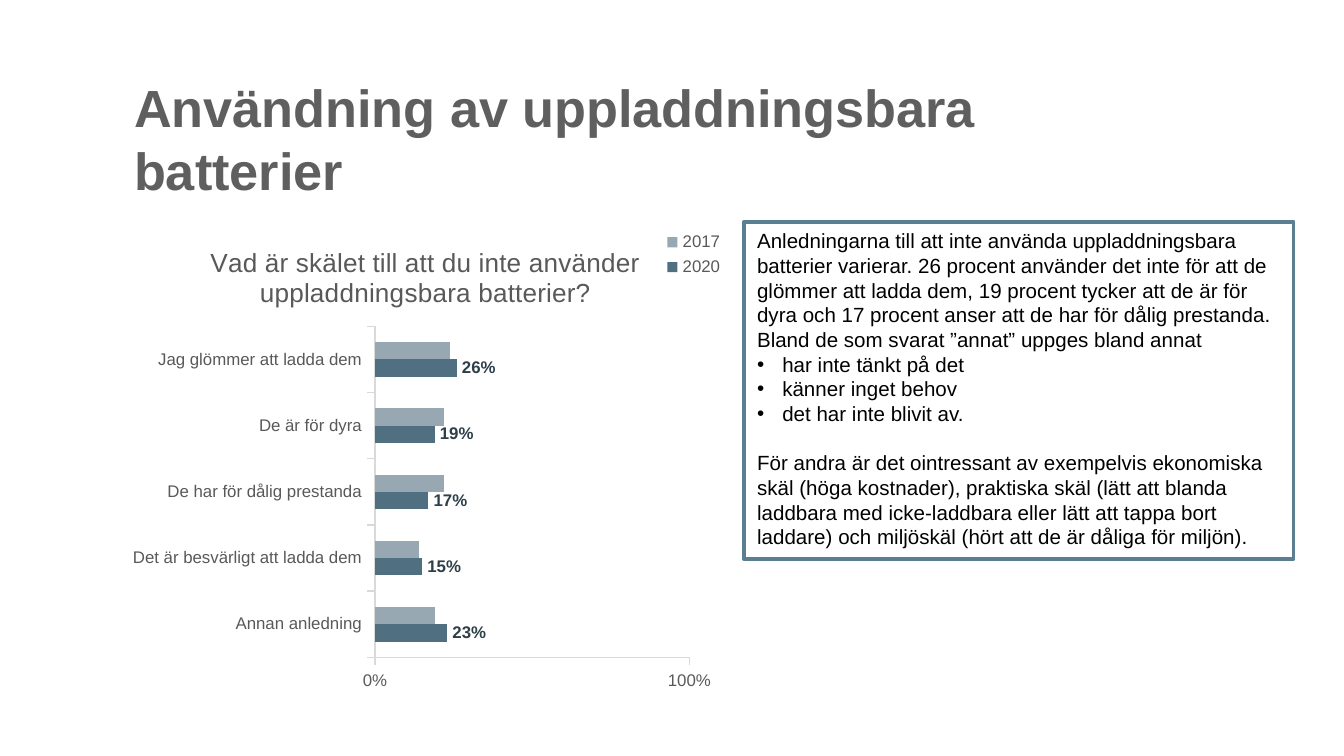
from lxml import etree
from pptx import Presentation
from pptx.chart.data import CategoryChartData
from pptx.dml.color import RGBColor
from pptx.enum.chart import XL_CHART_TYPE, XL_LABEL_POSITION, XL_LEGEND_POSITION, XL_TICK_MARK
from pptx.enum.shapes import MSO_SHAPE
from pptx.enum.text import MSO_ANCHOR, PP_ALIGN
from pptx.oxml.ns import qn
from pptx.util import Pt

BAR_CLUSTERED = XL_CHART_TYPE.BAR_CLUSTERED
OUTSIDE_END = XL_LABEL_POSITION.OUTSIDE_END
CORNER = XL_LEGEND_POSITION.CORNER
TICK_OUT = XL_TICK_MARK.OUTSIDE
RECTANGLE = MSO_SHAPE.RECTANGLE
TOP = MSO_ANCHOR.TOP
LEFT = PP_ALIGN.LEFT

WHITE = RGBColor(0xFF, 0xFF, 0xFF)
BLACK = RGBColor(0x00, 0x00, 0x00)
TITLE_GREY = RGBColor(0x5F, 0x5F, 0x5F)
CHART_GREY = RGBColor(0x59, 0x59, 0x59)
AXIS_GREY = RGBColor(0xD9, 0xD9, 0xD9)
FRAME_BLUE = RGBColor(0x5A, 0x7E, 0x92)
LABEL_BLUE = RGBColor(0x2D, 0x3F, 0x49)

TITLE = "Användning av uppladdningsbara batterier"
INTRO = (
    "Anledningarna till att inte använda uppladdningsbara batterier varierar. "
    "26 procent använder det inte för att de glömmer att ladda dem, 19 procent "
    "tycker att de är för dyra och 17 procent anser att de har för dålig prestanda. "
    "Bland de som svarat ”annat” uppges bland annat"
)
REASONS = ["har inte tänkt på det", "känner inget behov", "det har inte blivit av."]
CLOSING = (
    "För andra är det ointressant av exempelvis ekonomiska skäl (höga kostnader), "
    "praktiska skäl (lätt att blanda laddbara med icke-laddbara eller lätt att "
    "tappa bort laddare) och miljöskäl (hört att de är dåliga för miljön)."
)
QUESTION = "Vad är skälet till att du inte använder uppladdningsbara batterier?"
ANSWERS = [
    "Annan anledning",
    "Det är besvärligt att ladda dem",
    "De har för dålig prestanda",
    "De är för dyra",
    "Jag glömmer att ladda dem",
]
SERIES = [
    ("2020", [0.23, 0.15, 0.17, 0.19, 0.26], RGBColor(0x50, 0x70, 0x82)),
    ("2017", [0.19, 0.14, 0.22, 0.22, 0.24], RGBColor(0x97, 0xA8, 0xB3)),
]

TITLE_AREA = (64.8, 36.7, 578.2, 85)
TEXT_AREA = (398.5, 118.8, 294.5, 180.7)
CHART_AREA = (64.8, 121.7, 324, 253.4)

TITLE_FONT = {"name": "Arial", "size": Pt(28), "bold": True}
BODY_FONT = {"name": "Arial", "size": Pt(11), "bold": False}
QUESTION_FONT = {"name": "Arial", "size": Pt(14), "bold": False}
CHART_FONT = {"name": "Arial", "size": Pt(9), "bold": False}
LABEL_FONT = {"name": "Arial", "size": Pt(9), "bold": True}
BULLET_INDENT = Pt(13.5)


def in_points(area):
    return [Pt(length) for length in area]


def style_font(font, values, color):
    for name, value in values.items():
        setattr(font, name, value)
    font.color.rgb = color


def place_in_chart(element, index, **fractions):
    """Give a chart part a manual layout in fractions of the chart area."""
    for old in element.findall(qn("c:layout")):
        element.remove(old)
    layout = etree.Element(qn("c:layout"))
    manual = etree.SubElement(layout, qn("c:manualLayout"))
    if "w" in fractions:
        etree.SubElement(manual, qn("c:layoutTarget")).set("val", "inner")
    for name in ("xMode", "yMode"):
        etree.SubElement(manual, qn("c:" + name)).set("val", "edge")
    for name, value in fractions.items():
        etree.SubElement(manual, qn("c:" + name)).set("val", str(value))
    element.insert(index, layout)


def add_title(slide):
    box = slide.shapes.add_textbox(*in_points(TITLE_AREA))
    box.text_frame.word_wrap = True
    para = box.text_frame.paragraphs[0]
    para.text = TITLE
    style_font(para.font, TITLE_FONT, TITLE_GREY)


def add_bullet(para):
    properties = para._p.get_or_add_pPr()
    properties.set("marL", str(BULLET_INDENT))
    properties.set("indent", str(-BULLET_INDENT))
    etree.SubElement(properties, qn("a:buFont")).set("typeface", "Arial")
    etree.SubElement(properties, qn("a:buChar")).set("char", "•")


def add_comment_box(slide):
    box = slide.shapes.add_shape(RECTANGLE, *in_points(TEXT_AREA))
    box.shadow.inherit = False
    box.fill.solid()
    box.fill.fore_color.rgb = WHITE
    box.line.color.rgb = FRAME_BLUE
    box.line.width = Pt(2)
    frame = box.text_frame
    frame.word_wrap = True
    frame.vertical_anchor = TOP
    for index, text in enumerate([INTRO, *REASONS, CLOSING]):
        para = frame.add_paragraph() if index else frame.paragraphs[0]
        para.text = text
        para.alignment = LEFT
        if text in REASONS:
            add_bullet(para)
        if text == CLOSING:
            para.space_before = Pt(13.2)
        style_font(para.font, BODY_FONT, BLACK)


def add_answer_chart(slide):
    data = CategoryChartData(number_format="0%")
    data.categories = ANSWERS
    for name, values, _ in SERIES:
        data.add_series(name, values)
    chart = slide.shapes.add_chart(BAR_CLUSTERED, *in_points(CHART_AREA), data).chart
    style_font(chart.font, CHART_FONT, CHART_GREY)

    chart.has_title = True
    para = chart.chart_title.text_frame.paragraphs[0]
    para.text = QUESTION
    style_font(para.runs[0].font, QUESTION_FONT, CHART_GREY)
    place_in_chart(chart.chart_title._element, 1, x=0.14, y=0.03)
    place_in_chart(chart._chartSpace.chart.plotArea, 0, x=0.42, y=0.21, w=0.52, h=0.7)

    chart.has_legend = True
    chart.legend.position = CORNER
    chart.legend.include_in_layout = True
    style_font(chart.legend.font, CHART_FONT, CHART_GREY)

    for axis in (chart.category_axis, chart.value_axis):
        axis.has_major_gridlines = False
        axis.major_tick_mark = TICK_OUT
        axis.format.line.color.rgb = AXIS_GREY
        axis.format.line.width = Pt(0.75)
        style_font(axis.tick_labels.font, CHART_FONT, CHART_GREY)
    scale = {"minimum_scale": 0, "maximum_scale": 1, "major_unit": 1}
    for name, value in scale.items():
        setattr(chart.value_axis, name, value)
    chart.value_axis.tick_labels.number_format = "0%"
    chart.value_axis.tick_labels.number_format_is_linked = False

    plot = chart.plots[0]
    plot.vary_by_categories = False
    plot.gap_width = 182
    plot.overlap = 0
    for series, (_, _, color) in zip(plot.series, SERIES):
        series.format.fill.solid()
        series.format.fill.fore_color.rgb = color
    labels = plot.series[0].data_labels
    labels.show_value = True
    labels.number_format = "0%"
    labels.number_format_is_linked = False
    labels.position = OUTSIDE_END
    style_font(labels.font, LABEL_FONT, LABEL_BLUE)


def main():
    deck = Presentation()
    deck.slide_width, deck.slide_height = Pt(720), Pt(405)
    slide = deck.slides.add_slide(deck.slide_layouts[6])
    add_title(slide)
    add_comment_box(slide)
    add_answer_chart(slide)
    deck.save("out.pptx")


if __name__ == "__main__":
    main()
